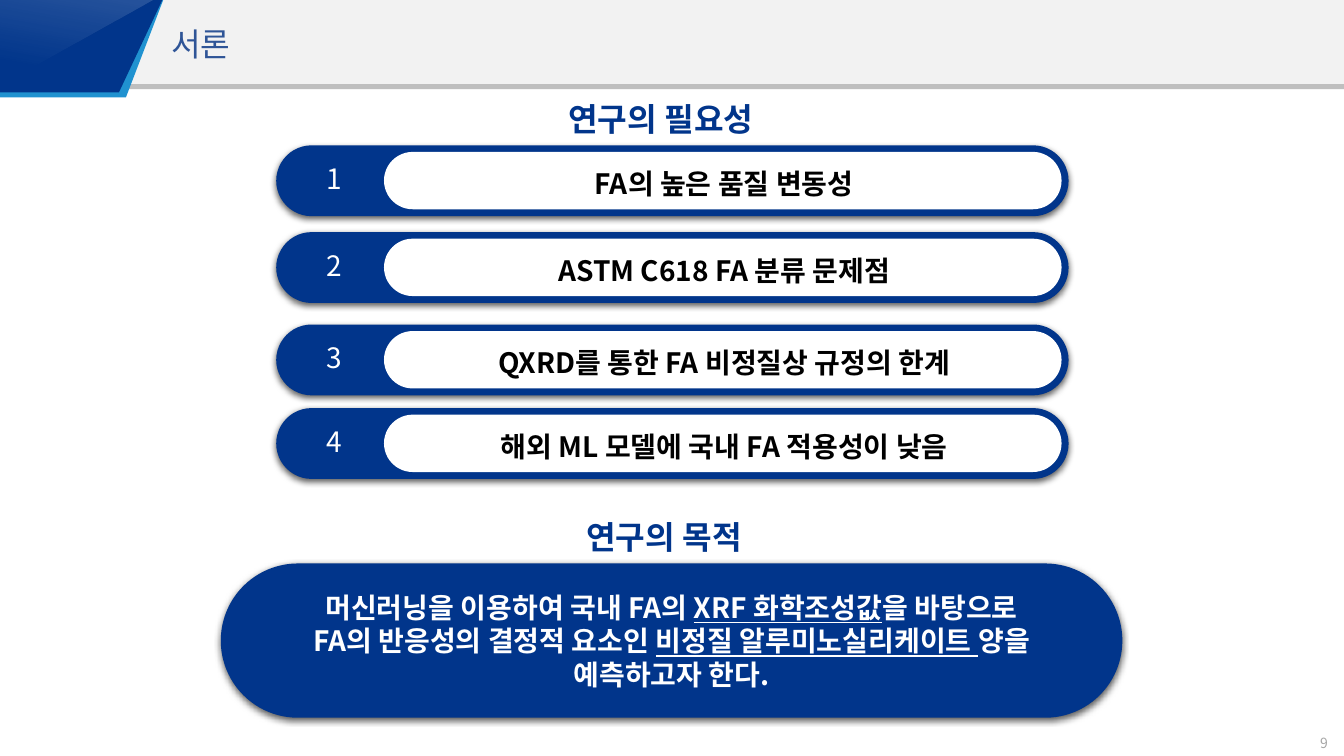
from lxml import etree
from pptx import Presentation
from pptx.dml.color import RGBColor
from pptx.enum import shapes, text
from pptx.oxml import ns
from pptx.util import Pt

HUES = {"navy": "01358B", "sky": "2092D0", "title": "2F5597", "band": "F2F2F2",
        "rule": "BFBFBF", "page": "A6A6A6", "white": "FFFFFF", "black": "000000"}
FONT = "Noto Sans CJK KR"
KIND = shapes.MSO_SHAPE
ALIGN = text.PP_ALIGN
MID = text.MSO_ANCHOR.MIDDLE


def hue(name):
    return RGBColor.from_string(HUES[name])


def sub(node, tag, **attrs):
    return etree.SubElement(node, ns.qn(tag), **attrs)


class Deck:
    """Draws styled elements on the current slide, with lengths in points."""

    def __init__(self):
        self.prs = Presentation()
        self.prs.slide_width, self.prs.slide_height = Pt(960), Pt(540)
        self.slide = self.prs.slides.add_slide(self.prs.slide_layouts[5])
        self.pen = self.slide.shapes

    def group(self):
        self.pen = self.slide.shapes.add_group_shape().shapes

    def leave(self):
        self.pen = self.slide.shapes

    def paint(self, shape, color):
        shape.shadow.inherit = False
        shape.fill.solid()
        shape.fill.fore_color.rgb = hue(color)
        shape.line.fill.background()
        return shape

    def shape(self, kind, box, color):
        return self.paint(self.pen.add_shape(kind, *map(Pt, box)), color)

    def pill(self, box, color, shade=False):
        pill = self.shape(KIND.ROUNDED_RECTANGLE, box, color)
        pill.adjustments[0] = 0.5
        if shade:
            effects = pill._element.spPr.find(ns.qn("a:effectLst"))
            outer = sub(effects, "a:outerShdw", blurRad=str(Pt(4.5)),
                        dist=str(Pt(1.5)), dir="5400000", algn="t", rotWithShape="0")
            black = sub(outer, "a:srgbClr", val=HUES["black"])
            sub(black, "a:alpha", val="63000")
        return pill

    def poly(self, points, color):
        pen = self.pen.build_freeform(*map(Pt, points[0]))
        pen.add_line_segments([tuple(map(Pt, p)) for p in points[1:]])
        return self.paint(pen.convert_to_shape(), color)

    def sheen(self, box):
        wedge = self.shape(KIND.RIGHT_TRIANGLE, box, "white")
        wedge._element.spPr.find(ns.qn("a:xfrm")).set("flipV", "1")
        wedge.fill.gradient()
        wedge.fill.gradient_angle = 280
        for stop, (spot, alpha) in zip(wedge.fill.gradient_stops, [(0.23, 0), (1, 15)]):
            stop.position = spot
            stop.color.rgb = hue("white")
            tint = stop._gs.find(ns.qn("a:srgbClr"))
            sub(tint, "a:alpha", val=str(alpha * 1000))

    def fill(self, shape, lines, size, color, bold=False, align=ALIGN.CENTER,
             anchor=MID, wrap=True, space=None):
        frame = shape.text_frame
        frame.word_wrap, frame.vertical_anchor = wrap, anchor
        for i, line in enumerate(lines):
            para = frame.add_paragraph() if i else frame.paragraphs[0]
            para.alignment, para.line_spacing = align, space
            for words, under in line:
                run = para.add_run()
                run.text = words
                font = run.font
                font.name, font.size, font.bold = FONT, Pt(size), bold
                font.underline = under
                font.color.rgb = hue(color)
                sub(run._r.get_or_add_rPr(), "a:ea", typeface=FONT)

    def label(self, words, box, size, color, grow=True, **style):
        area = self.pen.add_textbox(*map(Pt, box))
        self.fill(area, [[(words, False)]], size, color, **style)
        if grow:
            area.text_frame.auto_size = text.MSO_AUTO_SIZE.SHAPE_TO_FIT_TEXT

    def title(self, words, box):
        head = self.slide.shapes.title
        head.left, head.top, head.width, head.height = map(Pt, box)
        self.fill(head, [[(words, False)]], 23, "title", align=ALIGN.LEFT,
                  anchor=text.MSO_ANCHOR.TOP, wrap=False)
        head.text_frame.auto_size = text.MSO_AUTO_SIZE.NONE
        self.slide.shapes._spTree.append(head._element)

    def heading(self, words, box):
        self.label(words, box, 23, "navy", bold=True, align=ALIGN.LEFT,
                   anchor=text.MSO_ANCHOR.TOP, wrap=False)

    def row(self, num, words, top):
        self.group()
        self.pill((197.3, top, 566, 50.6), "navy", shade=True)
        self.pill((274.3, top + 4.7, 484, 41), "white")
        self.label(str(num), (225.4, top + 7.8, 26.6, 31.5), 20, "white")
        self.label(words, (292.3, top + 8.6, 450, 32.4), 20, "black", bold=True, space=1.2)
        self.leave()


def main():
    deck = Deck()
    deck.shape(KIND.RECTANGLE, (0, 0, 960, 61.5), "band")
    deck.shape(KIND.RECTANGLE, (0, 60, 960, 3.6), "rule")
    deck.group()
    deck.poly([(0, 0), (116.6, 0), (90, 69.5), (0, 69.5)], "sky")
    deck.poly([(0, 0), (116, 0), (85, 66), (0, 66)], "navy")
    deck.sheen((0, 0, 110.5, 61))
    deck.leave()
    deck.title("서론", (115.2, 13.7, 61.2, 35.3))

    deck.heading("연구의 필요성", (398.9, 67.7, 161.3, 35.3))
    needs = [("FA의 높은 품질 변동성", 103.8),
             ("ASTM C618 FA 분류 문제점", 165.8),
             ("QXRD를 통한 FA 비정질상 규정의 한계", 231.8),
             ("해외 ML 모델에 국내 FA 적용성이 낮음", 291.5)]
    for num, (words, top) in enumerate(needs, 1):
        deck.row(num, words, top)

    deck.heading("연구의 목적", (411.8, 365.8, 136, 35.3))
    goal = deck.pill((157.7, 402.5, 644, 110.2), "navy", shade=True)
    deck.fill(goal, [
        [("머신러닝을 이용하여 국내 FA의 ", False), ("XRF 화학조성값", True),
         ("을 바탕으로", False)],
        [("FA의 반응성의 결정적 요소인 ", False), ("비정질 알루미노실리케이트 ", True),
         ("양을", False)],
        [("예측하고자 한다.", False)],
    ], 20, "white", bold=True)
    deck.label("9", (919.4, 514.8, 52.6, 31.7), 10, "page", grow=False)
    deck.prs.save("out.pptx")


if __name__ == "__main__":
    main()
